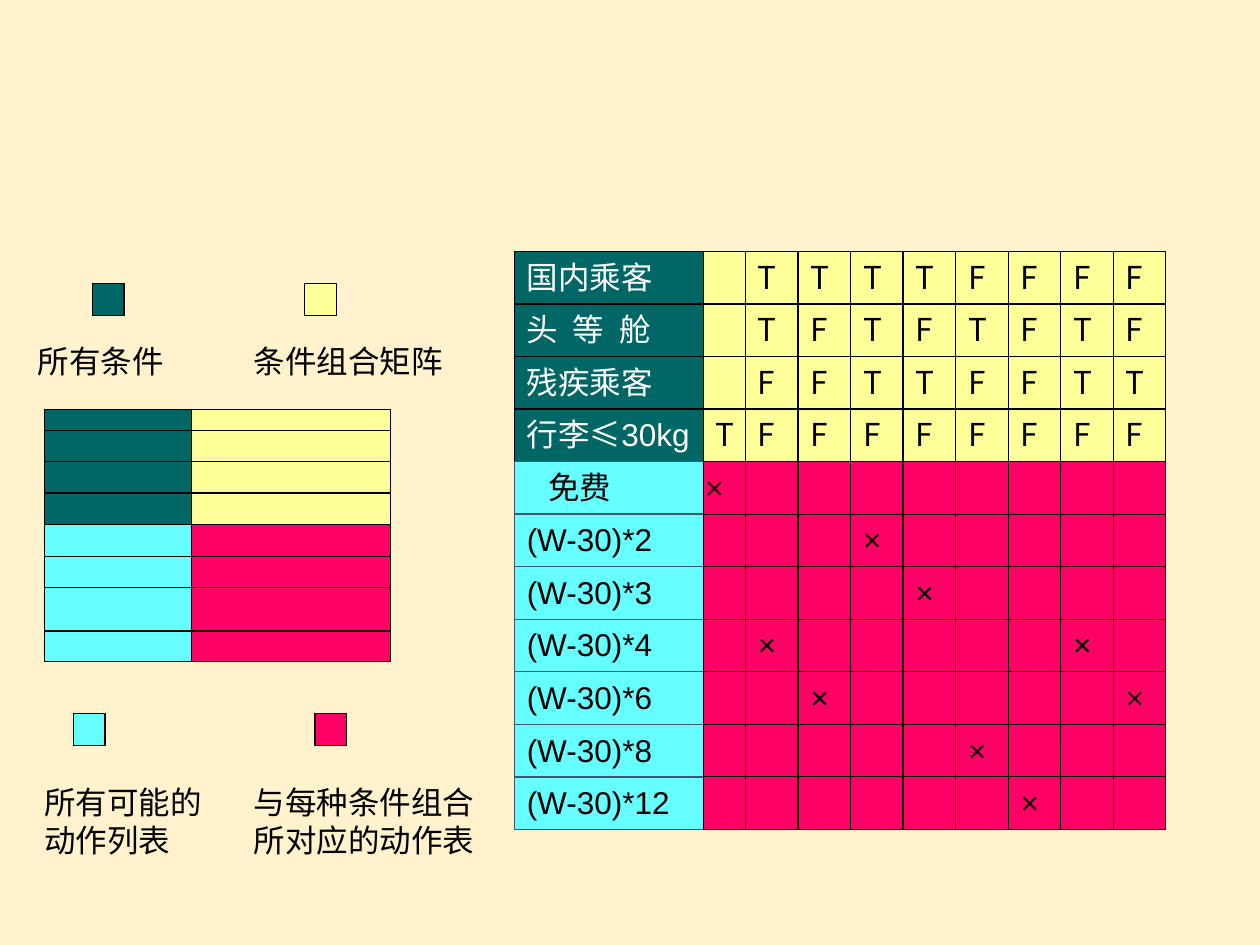
from dataclasses import dataclass
from typing import NamedTuple

from lxml.etree import SubElement
from pptx import Presentation
from pptx.dml.color import RGBColor
from pptx.enum.shapes import MSO_CONNECTOR, MSO_SHAPE
from pptx.enum.text import MSO_ANCHOR, PP_ALIGN
from pptx.oxml.ns import qn
from pptx.util import Cm, Pt


@dataclass(frozen=True)
class Theme:
    back: str = "FFF2CC"
    ink: str = "000000"
    pale: str = "FFFFFF"
    edge: str = "44546A"
    teal: str = "006666"
    lemon: str = "FFFF99"
    aqua: str = "66FFFF"
    rose: str = "FF0066"
    latin: str = "Arial"
    asian: str = "Noto Sans CJK SC"
    size: int = 18
    rule: float = 0.75


class Box(NamedTuple):
    """A rectangle in centimetres."""
    left: float
    top: float
    width: float
    height: float


class Key(NamedTuple):
    """A legend entry: a swatch and its caption."""
    color: str
    left: float
    top: float
    text: str
    place: Box
    wrap: bool


class Label(NamedTuple):
    text: str
    indent: float = 0.25
    spread: int = 0


THEME = Theme()
SWATCH = 0.64

KEYS = [
    Key(THEME.teal, 1.86, 5.72, "所有条件", Box(0.51, 6.77, 3.86, 1.02), True),
    Key(THEME.lemon, 6.14, 5.72, "条件组合矩阵", Box(4.87, 6.77, 5.23, 1.02), True),
    Key(THEME.aqua, 1.48, 14.39, "所有可能的\n动作列表",
        Box(0.64, 15.66, 3.68, 1.78), False),
    Key(THEME.rose, 6.35, 14.39, "与每种条件组合\n所对应的动作表",
        Box(4.87, 15.66, 4.95, 1.78), False),
]

# Outline of the four-part scheme
EDGES = (0.9, 3.86, 7.87)
BANDS = (8.25, 10.58, 13.34)
RULES = (8.68, 9.31, 9.94, 11.22, 11.85, 12.72, 13.34)

# Decision table
LABELS = [
    Label("国内乘客"),
    Label("头 等 舱", spread=220),
    Label("残疾乘客"),
    Label("行李≤30kg"),
    Label("免费", indent=0.68),
    *(Label(f"(W-30)*{rate}") for rate in (2, 3, 4, 6, 8, 12)),
]
TESTS = [" TTTTFFFF", " TFTFTFTF", " FFTTFFTT", "TFFFFFFFF"]
# Columns ticked in each action row
TICKS = [(0,), (3,), (4,), (1, 7), (2, 8), (5,), (6,)]
LEFT, GRID, FIRST, RIGHT = 10.37, 14.18, 15.03, 23.5
TOP, BOTTOM = 5.07, 16.72
ROW = (BOTTOM - TOP) / len(LABELS)
COL = (RIGHT - FIRST) / 8
SPLIT = TOP + len(TESTS) * ROW
COLS = [GRID] + [FIRST + i * COL for i in range(8)]


def style(frame, text: str, color: str, font: str, spread: int = 0) -> None:
    frame.text = text
    for para in frame.paragraphs:
        para.alignment = PP_ALIGN.LEFT
        for run in para.runs:
            run.font.size = Pt(THEME.size)
            run.font.name = font
            run.font.color.rgb = RGBColor.from_string(color)
            props = run.font._element
            SubElement(props, qn("a:ea")).set("typeface", THEME.asian)
            if spread:
                props.set("spc", str(spread))


def block(slide, box: Box, fill: str, edge: str = THEME.ink):
    shape = slide.shapes.add_shape(MSO_SHAPE.RECTANGLE, *map(Cm, box))
    shape.shadow.inherit = False
    shape.fill.solid()
    shape.fill.fore_color.rgb = RGBColor.from_string(fill)
    shape.line.color.rgb = RGBColor.from_string(edge)
    shape.line.width = Pt(THEME.rule)
    return shape


def line(slide, x1: float, y1: float, x2: float, y2: float) -> None:
    link = slide.shapes.add_connector(
        MSO_CONNECTOR.STRAIGHT, *map(Cm, (x1, y1, x2, y2)))
    link.line.color.rgb = RGBColor.from_string(THEME.ink)
    link.line.width = Pt(THEME.rule)
    SubElement(link._element.spPr, qn("a:effectLst"))


def note(slide, box: Box, text: str, font: str = THEME.latin,
         wrap: bool = True) -> None:
    frame = slide.shapes.add_textbox(*map(Cm, box)).text_frame
    frame.word_wrap = wrap
    style(frame, text, THEME.ink, font)


def scheme(slide) -> None:
    """Draw the four-part outline of a decision table."""
    fills = ((THEME.teal, THEME.lemon), (THEME.aqua, THEME.rose))
    for top, end, pair in zip(BANDS, BANDS[1:], fills):
        for left, right, fill in zip(EDGES, EDGES[1:], pair):
            block(slide, Box(left, top, right - left, end - top), fill)
    for y in RULES:
        line(slide, EDGES[0], y, EDGES[-1], y)


def legend(slide) -> None:
    for key in KEYS:
        block(slide, Box(key.left, key.top, SWATCH, SWATCH), key.color)
        note(slide, key.place, key.text, wrap=key.wrap)


def stubs(slide) -> None:
    """Draw the label column of the decision table."""
    for i, label in enumerate(LABELS):
        test = i < len(TESTS)
        fill, edge, ink = ((THEME.teal, THEME.ink, THEME.pale) if test
                           else (THEME.aqua, THEME.edge, THEME.ink))
        box = Box(LEFT, TOP + i * ROW, GRID - LEFT, ROW)
        frame = block(slide, box, fill, edge).text_frame
        frame.word_wrap = True
        frame.vertical_anchor = MSO_ANCHOR.TOP
        frame.margin_left, frame.margin_right = Cm(label.indent), Cm(0)
        style(frame, label.text, ink, THEME.latin, label.spread)


def matrix(slide) -> None:
    block(slide, Box(GRID, TOP, RIGHT - GRID, SPLIT - TOP), THEME.lemon)
    block(slide, Box(GRID, SPLIT, RIGHT - GRID, BOTTOM - SPLIT), THEME.rose)
    for i in range(1, len(LABELS)):
        if i != len(TESTS):
            line(slide, GRID, TOP + i * ROW, RIGHT, TOP + i * ROW)
    for x in COLS[1:]:
        line(slide, x, TOP, x, BOTTOM)
    for i, row in enumerate(TESTS):
        for x, mark in zip(COLS, row):
            if mark != " ":
                note(slide, Box(x, TOP + i * ROW, 0.85, 1.02), mark, THEME.asian)
    for i, ticks in enumerate(TICKS):
        for col in ticks:
            x = COLS[col] if col else GRID - 0.21
            note(slide, Box(x, SPLIT + i * ROW, COL, 1.02), "×")


def main() -> None:
    deck = Presentation()
    deck.slide_width, deck.slide_height = Cm(25.4), Cm(19.05)
    slide = deck.slides.add_slide(deck.slide_layouts[6])
    slide.background.fill.solid()
    slide.background.fill.fore_color.rgb = RGBColor.from_string(THEME.back)
    for draw in (scheme, legend, stubs, matrix):
        draw(slide)
    deck.save("out.pptx")


if __name__ == "__main__":
    main()
